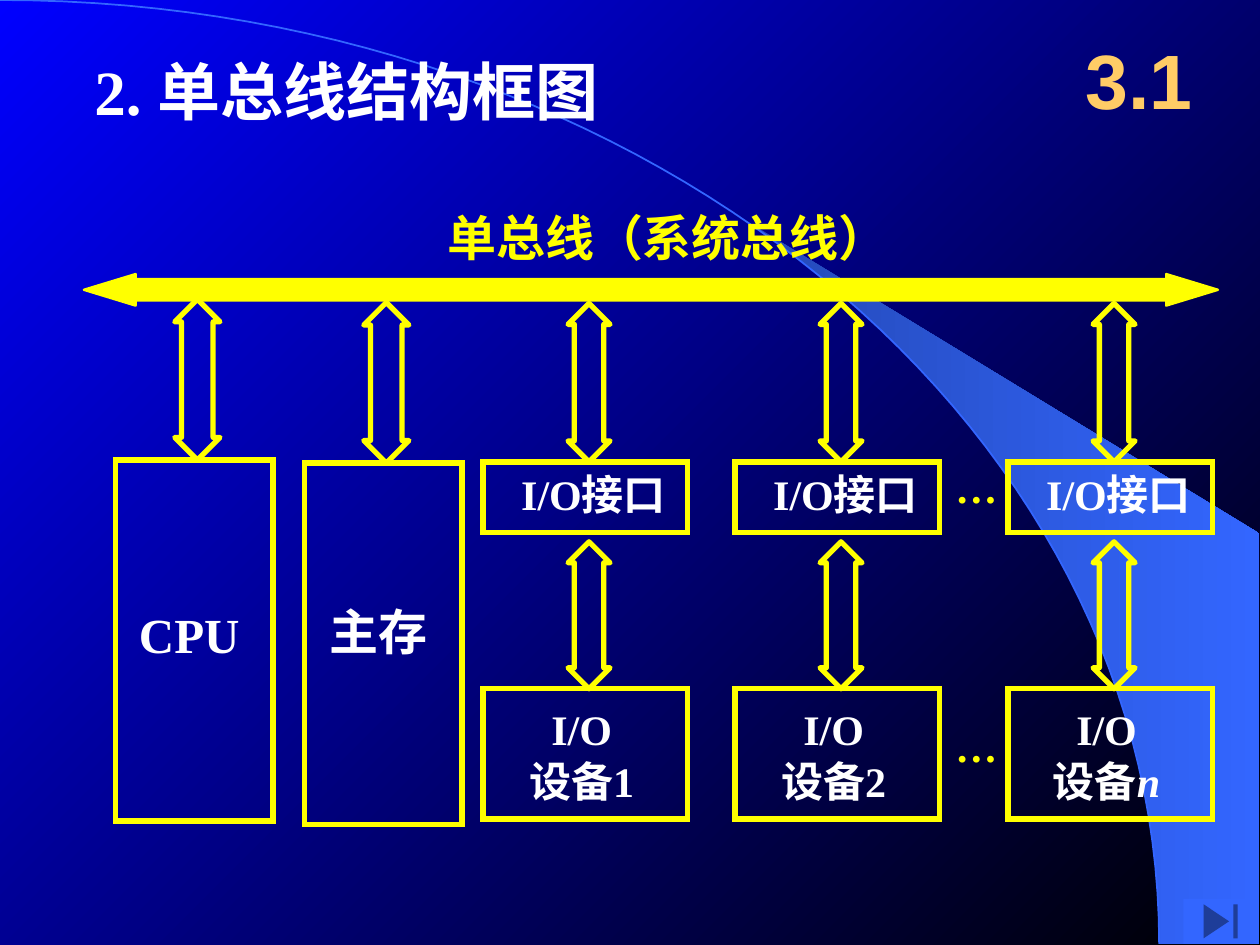
from dataclasses import dataclass

import pptx
import pptx.dml.color
import pptx.enum.shapes
import pptx.enum.text
import pptx.oxml.ns
import pptx.util
from lxml import etree

COLUMNS, ROWS = 120, 90
CELL = pptx.util.Inches(10) / COLUMNS
COLORS = {
    "blue": "0000FF", "black": "000000", "swoosh_dark": "2449B6",
    "swoosh_light": "3366FF", "yellow": "FFFF00", "white": "FFFFFF",
    "orange": "FFCC66",
}
SERIF, SANS, CHINESE = "Times New Roman", "Arial", "Noto Sans CJK SC"
SHAPES = pptx.enum.shapes.MSO_SHAPE
ANCHORS = pptx.enum.text.MSO_ANCHOR
ALIGN = pptx.enum.text.PP_ALIGN
ARC = ((0, 0), (61, 0), (110.4, 40.2), (110.4, 89.9))
BOX_WIDTH = 19.5
INTERFACE_TOP, DEVICE_TOP = 44, 65.6


@dataclass(frozen=True)
class Area:
    """A rectangle in grid columns and rows."""
    left: float
    top: float
    width: float
    height: float

    def lengths(self) -> list[int]:
        return [cells(v) for v in (self.left, self.top, self.width, self.height)]


@dataclass(frozen=True)
class Style:
    size: float
    color: str = "white"
    font: str = SERIF
    east_asian: str = CHINESE
    align: ALIGN = ALIGN.LEFT
    anchor: ANCHORS = ANCHORS.TOP
    margins: tuple = (0, 0, 0, 0)
    spacing: float | None = None
    wrap: bool = True


@dataclass(frozen=True)
class Channel:
    left: float
    device: str


@dataclass(frozen=True)
class Unit:
    area: Area
    text: str
    bottom_margin: float


def cells(value: float) -> int:
    return round(value * CELL)


def rgb(name: str) -> pptx.dml.color.RGBColor:
    return pptx.dml.color.RGBColor.from_string(COLORS[name])


def set_gradient(fill, names: tuple, angle: float) -> None:
    fill.gradient()
    fill.gradient_angle = angle
    for stop, name in zip(fill.gradient_stops, names):
        stop.color.rgb = rgb(name)


def format_run(run, style: Style) -> None:
    run.font.size = pptx.util.Pt(style.size)
    run.font.bold = True
    run.font.name = style.font
    run.font.color.rgb = rgb(style.color)
    east_asian = etree.SubElement(run.font._element, pptx.oxml.ns.qn("a:ea"))
    east_asian.set("typeface", style.east_asian)


def write_text(shape, text: str, style: Style) -> None:
    frame = shape.text_frame
    frame.text = text
    frame.word_wrap = style.wrap
    frame.vertical_anchor = style.anchor
    (frame.margin_left, frame.margin_top,
     frame.margin_right, frame.margin_bottom) = map(pptx.util.Inches, style.margins)
    for paragraph in frame.paragraphs:
        paragraph.alignment = style.align
        if style.spacing:
            paragraph.line_spacing = pptx.util.Pt(style.spacing)
        for run in paragraph.runs:
            format_run(run, style)


def add_label(slide, area: Area, text: str, style: Style) -> None:
    write_text(slide.shapes.add_textbox(*area.lengths()), text, style)


def add_outline(slide, kind, area: Area, join: str):
    shape = slide.shapes.add_shape(kind, *area.lengths())
    shape.shadow.inherit = False
    shape.fill.background()
    shape.line.color.rgb = rgb("yellow")
    shape.line.width = pptx.util.Pt(3)
    etree.SubElement(shape.line._ln, pptx.oxml.ns.qn(f"a:{join}"))
    return shape


def add_box(slide, area: Area, text: str, style: Style):
    box = add_outline(slide, SHAPES.RECTANGLE, area, "miter")
    write_text(box, text, style)
    return box


def add_arrow(slide, center: float, top: float, bottom: float, width: float) -> None:
    area = Area(center - width / 2, top, width, bottom - top)
    arrow = add_outline(slide, SHAPES.UP_DOWN_ARROW, area, "round")
    arrow.adjustments[0], arrow.adjustments[1] = 0.5, 0.7


def arc_points(start: float, steps: int = 60) -> list[tuple]:
    """Points on the background curve from parameter start to its end."""
    points = []
    for step in range(steps + 1):
        t = start + (1 - start) * step / steps
        weights = ((1 - t) ** 3, 3 * t * (1 - t) ** 2, 3 * t * t * (1 - t), t ** 3)
        points.append(tuple(cells(sum(w * p[axis] for w, p in zip(weights, ARC)))
                            for axis in (0, 1)))
    return points


def add_outline_path(slide, points: list[tuple], close: bool):
    builder = slide.shapes.build_freeform(*points[0])
    builder.add_line_segments(points[1:], close=close)
    shape = builder.convert_to_shape()
    shape.shadow.inherit = False
    return shape


def draw_background(slide) -> None:
    set_gradient(slide.background.fill, ("blue", "black"), 315)
    edge = [(cells(119.9), cells(row)) for row in (89.9, 50.8)]
    swoosh = add_outline_path(slide, arc_points(0.44) + edge, True)
    set_gradient(swoosh.fill, ("swoosh_dark", "swoosh_light"), 0)
    swoosh.line.fill.background()
    arc = add_outline_path(slide, arc_points(0), False)
    arc.fill.background()
    arc.line.color.rgb = rgb("swoosh_light")
    arc.line.width = pptx.util.Pt(1)


def draw_bus(slide) -> None:
    add_label(slide, Area(42.6, 20, 42.2, 5.6), "单总线（系统总线）",
              Style(28, "yellow", CHINESE, anchor=ANCHORS.MIDDLE,
                    margins=(0, 0, 0, 0.04), wrap=False))
    bus = add_outline(slide, SHAPES.LEFT_RIGHT_ARROW, Area(8, 26.1, 108, 3), "round")
    bus.fill.solid()
    bus.fill.fore_color.rgb = rgb("yellow")
    bus.line.width = pptx.util.Pt(1.38)
    bus.adjustments[0], bus.adjustments[1] = 0.68, 1.64


def draw_channel(slide, channel: Channel) -> None:
    center = channel.left + 10.1
    interface = Style(24, align=ALIGN.CENTER, anchor=ANCHORS.MIDDLE,
                      margins=(0.13, 0, 0, 0.06))
    device = Style(24, align=ALIGN.CENTER, margins=(0, 0.1, 0.06, 0), spacing=30)
    add_box(slide, Area(channel.left, INTERFACE_TOP, BOX_WIDTH, 6.7), "I/O接口", interface)
    add_arrow(slide, center, 28.9, INTERFACE_TOP, 4)
    add_arrow(slide, center, 51.6, DEVICE_TOP, 4)
    box = add_box(slide, Area(channel.left, DEVICE_TOP, BOX_WIDTH, 12.4),
                  "I/O\n设备", device)
    number = box.text_frame.paragraphs[-1].add_run()
    number.text = channel.device
    format_run(number, device)
    number.font.italic = not channel.device.isdigit()


def main() -> None:
    presentation = pptx.Presentation()
    presentation.slide_width = cells(COLUMNS)
    presentation.slide_height = cells(ROWS)
    slide = presentation.slides.add_slide(presentation.slide_layouts[6])
    draw_background(slide)
    draw_bus(slide)
    add_label(slide, Area(7.8, 4, 50.4, 8.4), "2. 单总线结构框图",
              Style(36, margins=(0.1, 0.1, 0.1, 0.05), spacing=42))

    for unit in (Unit(Area(11, 43.8, 15, 34.4), "CPU", 0.11),
                 Unit(Area(29, 44.1, 15, 34.4), "主存", 0.2)):
        area = unit.area
        add_box(slide, area, unit.text,
                Style(28, align=ALIGN.CENTER, anchor=ANCHORS.MIDDLE,
                      margins=(0, 0, 0.08, unit.bottom_margin)))
        add_arrow(slide, area.left + 7.8, area.top - 15.3, area.top, 4.3)

    for channel in (Channel(46, "1"), Channel(70, "2"), Channel(96, "n")):
        draw_channel(slide, channel)
    for top in (44, 68.6):
        add_label(slide, Area(91, top, 5, 4.8), "…",
                  Style(24, "yellow", east_asian=SERIF))

    add_label(slide, Area(101, 2, 15, 11), "3.1",
              Style(44, "orange", SANS, align=ALIGN.CENTER, anchor=ANCHORS.MIDDLE,
                    margins=(0.1, 0.05, 0.1, 0.05)))
    button = slide.shapes.add_shape(SHAPES.ACTION_BUTTON_END,
                                    *Area(112.7, 85.6, 7.1, 4.3).lengths())
    button.shadow.inherit = False
    button.fill.solid()
    button.fill.fore_color.rgb = rgb("swoosh_light")
    button.line.fill.background()
    presentation.save("out.pptx")


if __name__ == "__main__":
    main()
